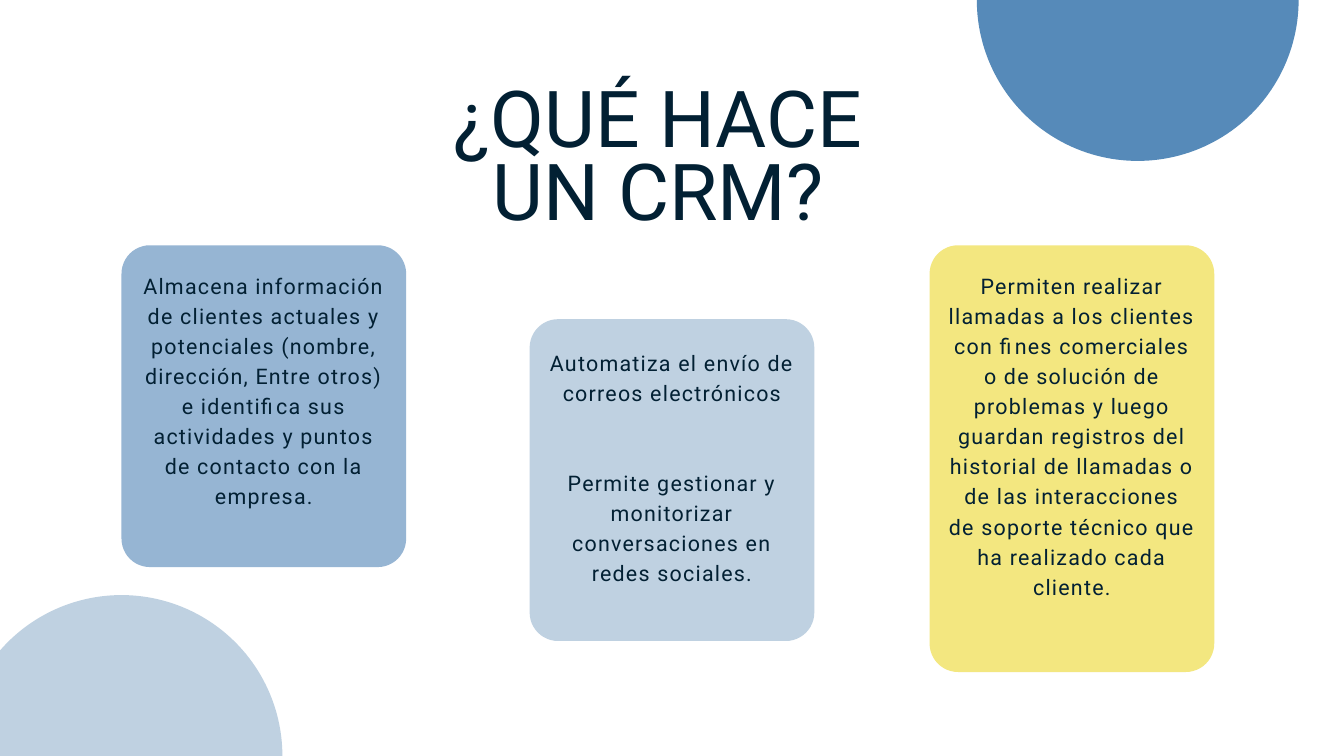
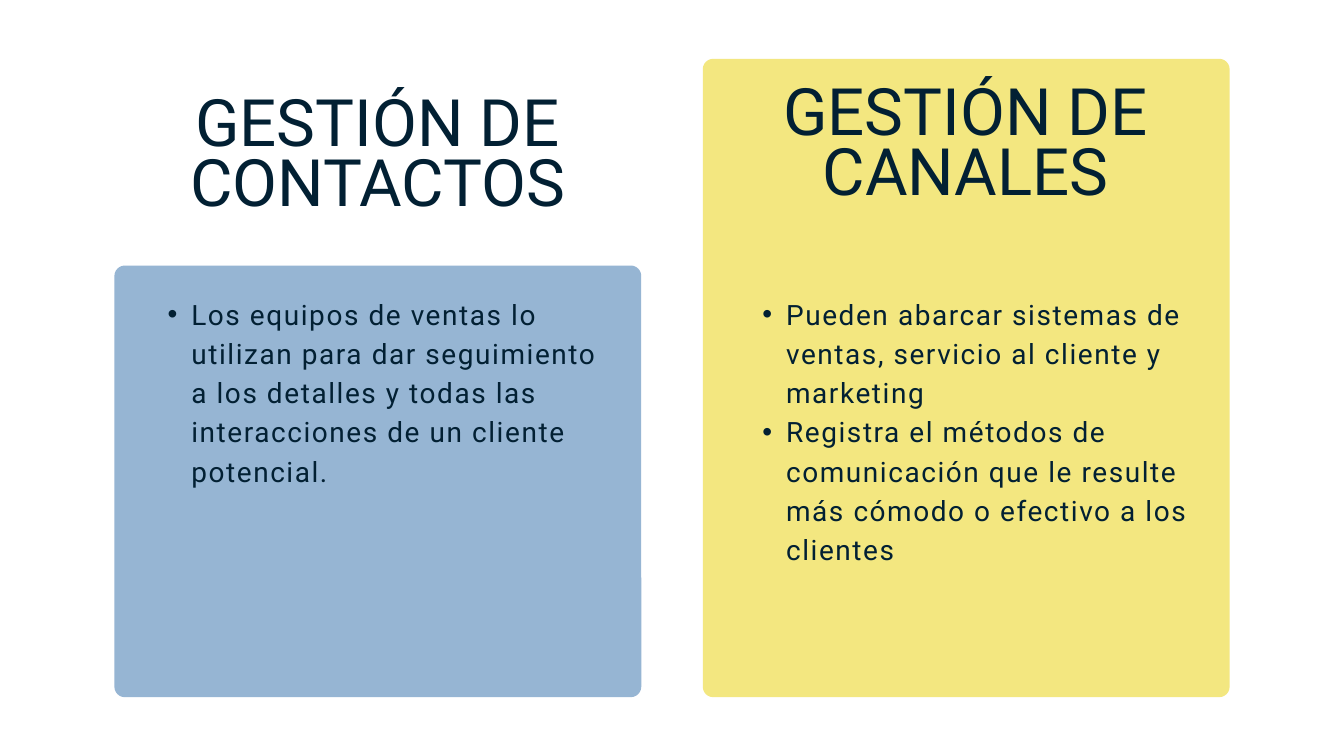
from lxml import etree
from pptx import Presentation
from pptx.dml.color import RGBColor
from pptx.enum.shapes import MSO_SHAPE
from pptx.enum.text import MSO_AUTO_SIZE, PP_ALIGN
from pptx.oxml.ns import qn
from pptx.util import Pt

CIRCLE = MSO_SHAPE.OVAL
ROUNDED = MSO_SHAPE.ROUNDED_RECTANGLE
CENTER, LEFT = PP_ALIGN.CENTER, PP_ALIGN.LEFT
GROW = MSO_AUTO_SIZE.SHAPE_TO_FIT_TEXT

SLIDE_W, SLIDE_H = 1440, 810
BLANK_LAYOUT = 6
INK, BLUE, SKY, MIST, YELLOW = "022033", "568AB9", "96B5D3", "BFD1E1", "F3E780"


def color(hex_code):
    return RGBColor.from_string(hex_code)


class Deck:
    """Holds the shared style and the slide being filled."""

    font_name = "Roboto"
    bullet_left, bullet_hang = 51, 25.5
    frame_format = {"word_wrap": True, "auto_size": GROW, "margin_left": 0,
                    "margin_right": 0, "margin_top": 0, "margin_bottom": 0}

    def __init__(self):
        self.prs = Presentation()
        self.prs.slide_width, self.prs.slide_height = Pt(SLIDE_W), Pt(SLIDE_H)
        self.slide = None

    @staticmethod
    def apply(target, values):
        for name, value in values.items():
            setattr(target, name, value)

    def new_slide(self):
        self.slide = self.prs.slides.add_slide(self.prs.slide_layouts[BLANK_LAYOUT])

    def filled(self, preset, x, y, w, h, fill):
        shape = self.slide.shapes.add_shape(preset, Pt(x), Pt(y), Pt(w), Pt(h))
        shape.shadow.inherit = False
        shape.fill.solid()
        shape.fill.fore_color.rgb = color(fill)
        shape.line.fill.background()
        return shape

    def card(self, x, y, w, h, fill, radius):
        card = self.filled(ROUNDED, x, y, w, h, fill)
        card.adjustments[0] = radius / min(w, h)

    def circle(self, center_x, center_y, radius, fill):
        self.filled(CIRCLE, center_x - radius, center_y - radius,
                    2 * radius, 2 * radius, fill)

    def text(self, x, y, w, h, paragraphs, size, leading,
             align=CENTER, tracking=0, gap=0, bullets=False):
        box = self.slide.shapes.add_textbox(Pt(x), Pt(y), Pt(w), Pt(h))
        frame = box.text_frame
        self.apply(frame, self.frame_format)
        for index, content in enumerate(paragraphs):
            paragraph = frame.add_paragraph() if index else frame.paragraphs[0]
            self.apply(paragraph, {"alignment": align, "line_spacing": Pt(leading)})
            if index and gap:
                paragraph.space_before = Pt(gap)
            if bullets:
                self.bullet(paragraph)
            run = paragraph.add_run()
            run.text = content
            self.apply(run.font, {"name": self.font_name, "size": Pt(size)})
            run.font.color.rgb = color(INK)
            if tracking:
                run._r.get_or_add_rPr().set("spc", str(round(tracking * 100)))

    def bullet(self, paragraph):
        paragraph.level = 1
        props = paragraph._p.get_or_add_pPr()
        props.set("marL", str(Pt(self.bullet_left)))
        props.set("indent", str(-Pt(self.bullet_hang)))
        etree.SubElement(props, qn("a:buFont")).set("typeface", "Arial")
        etree.SubElement(props, qn("a:buChar")).set("char", "•")

    def title(self, x, y, w, h, content, size, leading):
        self.text(x, y, w, h, [content], size, leading)

    def body(self, x, y, w, h, paragraphs, gap=0):
        self.text(x, y, w, h, paragraphs, 23, 32.2, tracking=1.3, gap=gap)

    def bullet_list(self, x, y, w, h, items):
        self.text(x, y, w, h, items, 30, 42, LEFT, tracking=1.7, bullets=True)


def build_functions(deck):
    deck.new_slide()
    deck.title(430, 98, 550, 160, "¿QUÉ HACE UN CRM?", 84.1, 77.4)

    # Cards: left, top, height, text offset, fill, paragraphs
    card_w, inset, blank_lines = 305, 20, 2 * 32.2
    functions = [
        (130.2, 262.8, 344.8, 25.2, SKY, [
            "Almacena información de clientes actuales y potenciales (nombre, "
            "dirección, Entre otros) e identifica sus actividades y puntos de "
            "contacto con la empresa."]),
        (567.5, 342, 344.8, 28, MIST, [
            "Automatiza el envío de correos electrónicos",
            "Permite gestionar y monitorizar conversaciones en redes sociales."]),
        (996, 262.8, 457.2, 25.2, YELLOW, [
            "Permiten realizar llamadas a los clientes con fines comerciales o "
            "de solución de problemas y luego guardan registros del historial "
            "de llamadas o de las interacciones de soporte técnico que ha "
            "realizado cada cliente."]),
    ]
    for x, y, height, offset, fill, paragraphs in functions:
        deck.card(x, y, card_w, height, fill, radius=30.5)
        deck.body(x + inset, y + offset, card_w - 2 * inset,
                  height - 2 * offset, paragraphs, gap=blank_lines)

    # Corner circles, centred on the slide edges
    deck.circle(130.2, SLIDE_H, 172.4, MIST)
    deck.circle(1219, 0, 172.4, BLUE)


def build_management(deck):
    deck.new_slide()
    panel_w, panel_bottom, list_top = 564.5, 747, 312.5

    # Panels: left, top, fill, title box, title, list box, items
    panels = [
        (122.6, 284.5, SKY, (175, 106.5, 459.4, 133), "GESTIÓN DE CONTACTOS",
         (154, 502.5, 205), [
             "Los equipos de ventas lo utilizan para dar seguimiento a los "
             "detalles y todas las interacciones de un cliente potencial."]),
        (753, 63, YELLOW, (769, 95, 531.4, 133), "GESTIÓN DE CANALES",
         (791.3, 487.5, 288), [
             "Pueden abarcar sistemas de ventas, servicio al cliente y marketing",
             "Registra el métodos de comunicación que le resulte más cómodo o "
             "efectivo a los clientes"]),
    ]
    for x, y, fill, title_box, title, (list_x, list_w, list_h), items in panels:
        deck.card(x, y, panel_w, panel_bottom - y, fill, radius=11.2)
        deck.title(*title_box, title, 70, 64.4)
        deck.bullet_list(list_x, list_top, list_w, list_h, items)


def main():
    deck = Deck()
    build_functions(deck)
    build_management(deck)
    deck.prs.save("out.pptx")


if __name__ == "__main__":
    main()
